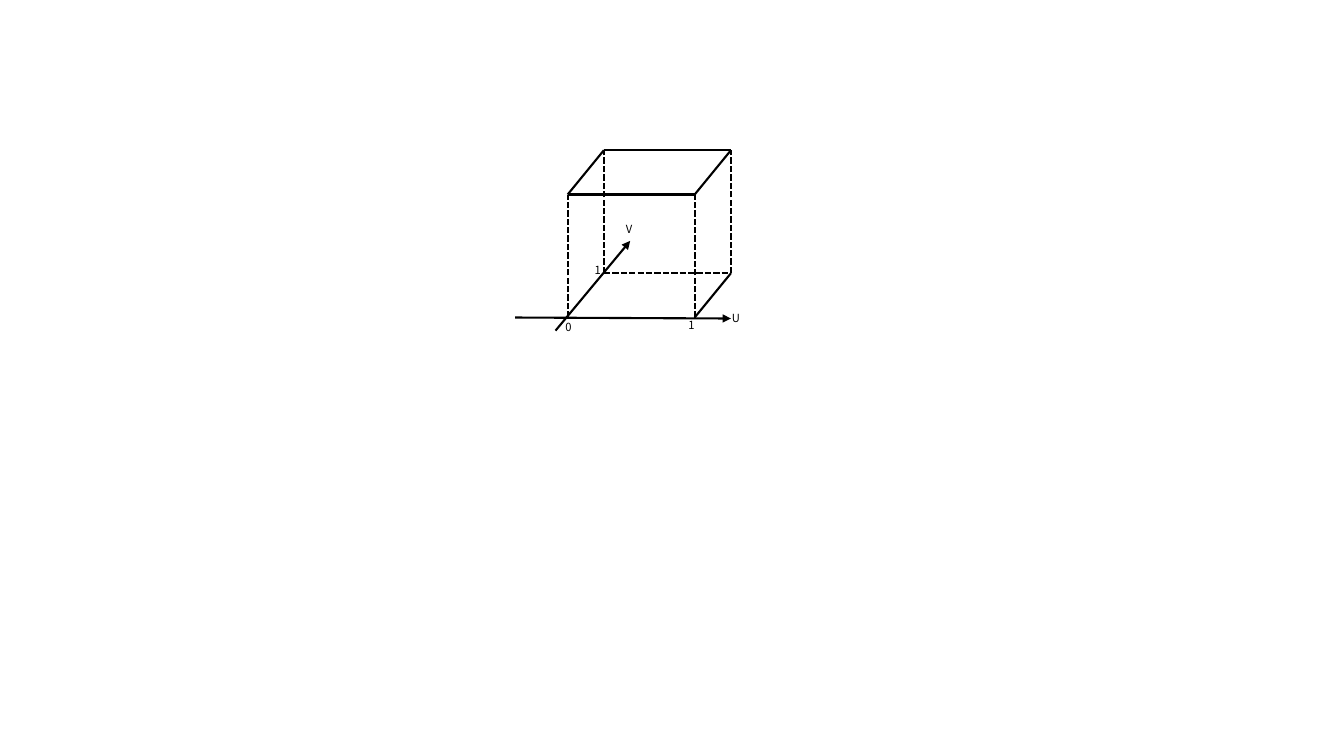
from lxml import etree
from pptx import Presentation
from pptx.dml.color import RGBColor
from pptx.enum.dml import MSO_LINE
from pptx.enum.shapes import MSO_CONNECTOR
from pptx.enum.text import MSO_AUTO_SIZE
from pptx.oxml.ns import qn
from pptx.util import Pt

PX = 9144  # 100 px to the inch
STRAIGHT = MSO_CONNECTOR.STRAIGHT
DASHED = MSO_LINE.SQUARE_DOT
GROW = MSO_AUTO_SIZE.SHAPE_TO_FIT_TEXT
COLORS = {"ink": "000000", "paper": "FFFFFF"}
FONT = "Noto Sans CJK SC"

WIDTH, DEPTH_X, DEPTH_Y, HEIGHT = 126, 36, 44, 122

# Each edge joins two corners given as (u, v, height)
SOLID_EDGES = [
    ((0, 0, 1), (1, 0, 1)),
    ((0, 0, 1), (0, 1, 1)),
    ((1, 0, 1), (1, 1, 1)),
    ((0, 1, 1), (1, 1, 1)),
    ((1, 0, 0), (1, 1, 0)),
]
DASHED_EDGES = [((u, v, 0), (u, v, 1)) for u in (0, 1) for v in (0, 1)]
DASHED_EDGES.append(((0, 1, 0), (1, 1, 0)))


def add_line(slide, start, end, dashed=False, arrow=False):
    line = slide.shapes.add_connector(
        STRAIGHT, *(length * PX for length in (*start, *end)))
    line.line.color.rgb = RGBColor.from_string(COLORS["ink"])
    line.line.width = Pt(1.5)
    if dashed:
        line.line.dash_style = DASHED
    if arrow:
        etree.SubElement(line.line._get_or_add_ln(), qn("a:tailEnd"), type="triangle")
    etree.SubElement(line._element.spPr, qn("a:effectLst"))


def add_text(slide, text, box, size=8, color="ink", wrap=False):
    label = slide.shapes.add_textbox(*(length * PX for length in box))
    frame = label.text_frame
    frame.word_wrap = wrap
    frame.auto_size = GROW
    span = frame.paragraphs[0].add_run()
    span.text = text
    span.font.name = FONT
    span.font.size = Pt(size)
    span.font.color.rgb = RGBColor.from_string(COLORS[color])


def draw_cube(slide, left, bottom):
    """Draw the unit cube with its front lower left corner at the given point."""
    def corner(u, v, height):
        return (left + u * WIDTH + v * DEPTH_X,
                bottom - v * DEPTH_Y - height * HEIGHT)

    for edges, dashed in ((DASHED_EDGES, True), (SOLID_EDGES, False)):
        for start, end in edges:
            add_line(slide, corner(*start), corner(*end), dashed=dashed)


def draw_axes(slide, left, bottom):
    """Draw the U and V axes and their labels around the given origin."""
    add_line(slide, (left - 52, bottom), (left + 162, bottom + 1), arrow=True)
    add_line(slide, (left - 12, bottom + 13), (left + 62, bottom - 76), arrow=True)
    add_text(slide, "U", (left + 153, bottom - 11, 28, 24))
    add_text(slide, "V", (left + 48, bottom - 99, 32, 37), wrap=True)
    for text, x, y in (("0", -12, -2), ("1", 110, -4), ("1", 17, -59)):
        add_text(slide, text, (left + x, bottom + y, 26, 24))


def main():
    deck = Presentation()
    deck.slide_width, deck.slide_height = 1333 * PX, 750 * PX
    page = deck.slides.add_slide(deck.slide_layouts[6])
    page.background.fill.solid()
    page.background.fill.fore_color.rgb = RGBColor.from_string(COLORS["paper"])
    draw_cube(page, 563, 315)
    draw_axes(page, 563, 315)
    deck.save("out.pptx")


if __name__ == "__main__":
    main()
